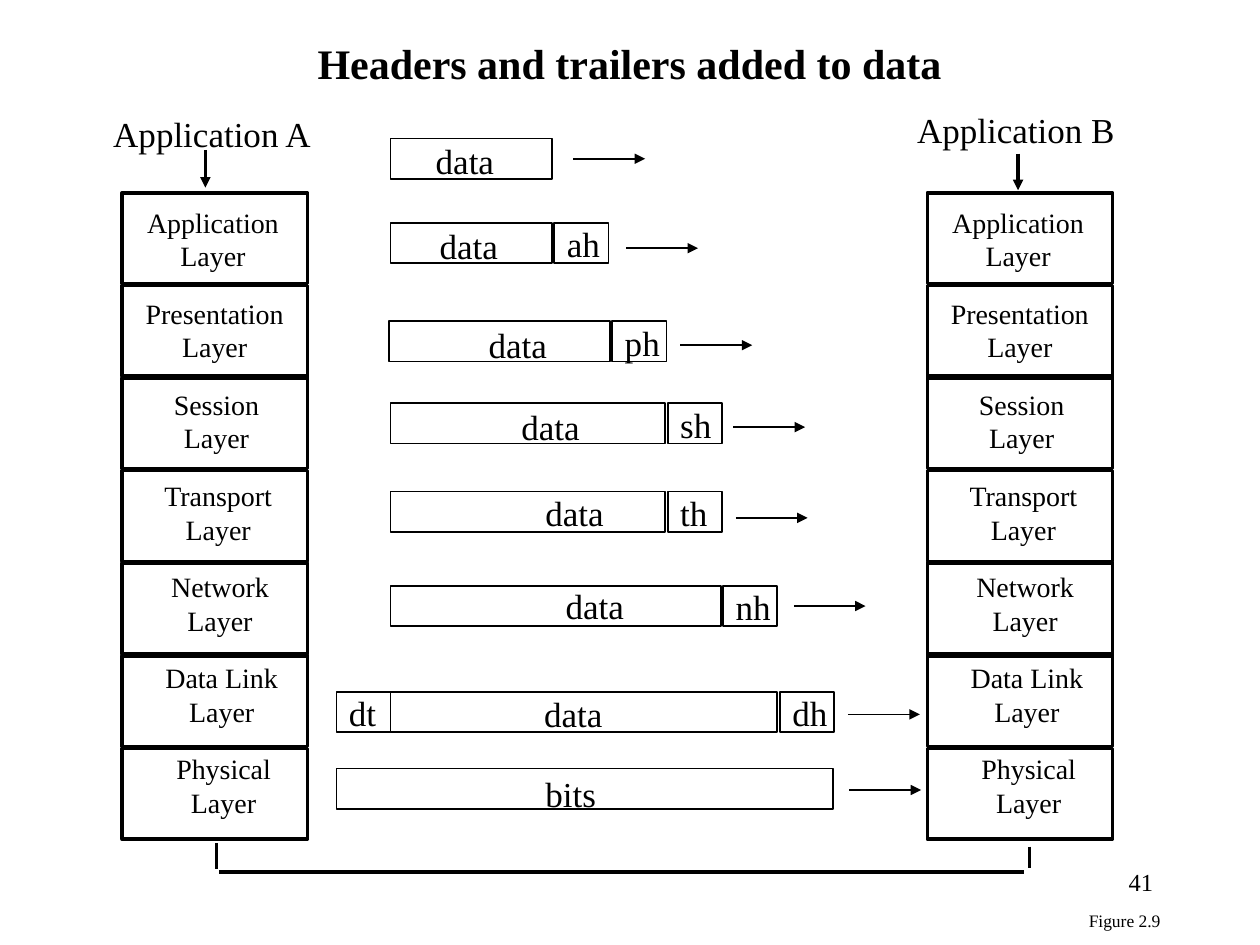
from lxml import etree
from pptx import Presentation
from pptx.dml.color import RGBColor
from pptx.enum.shapes import MSO_CONNECTOR, MSO_SHAPE
from pptx.enum.text import MSO_ANCHOR, MSO_AUTO_SIZE, PP_ALIGN
from pptx.oxml.ns import qn
from pptx.util import Inches, Pt

LEFT, CENTER, RIGHT = PP_ALIGN.LEFT, PP_ALIGN.CENTER, PP_ALIGN.RIGHT
TOP, MIDDLE = MSO_ANCHOR.TOP, MSO_ANCHOR.MIDDLE
GROW = MSO_AUTO_SIZE.SHAPE_TO_FIT_TEXT
FIXED = MSO_AUTO_SIZE.NONE
RECTANGLE, STRAIGHT = MSO_SHAPE.RECTANGLE, MSO_CONNECTOR.STRAIGHT

COLORS = {"ink": "000000", "paper": "FFFFFF"}
FONT = "Times New Roman"
THICK, THIN = 2, 1
SLACK = 0.04  # keeps tight labels on one line
INK = RGBColor.from_string(COLORS["ink"])

# Layer names with the width of each label
LAYERS = [("Application", 1.24), ("Presentation", 1.29), ("Session", 0.88),
          ("Transport", 1.06), ("Network", 0.97), ("Data Link", 1.09),
          ("Physical", 0.95)]
CELL_W, CELL_H, CELL_PITCH = 1.47, 0.72, 0.735
LABEL_PITCH, LABEL_DRIFT = 0.723, 0.014

# Units: left, top, width, text, text offset (x, y), header, arrow start (x, y)
UNITS = [
    (3.1, 1.10, 1.28, "data", (0.26, -0.04), None, (4.55, 1.26)),
    (3.1, 1.77, 1.28, "data", (0.29, -0.04), "ah", (4.97, 1.97)),
    (3.09, 2.55, 1.75, "data", (0.69, -0.03), "ph", (5.40, 2.74)),
    (3.1, 3.20, 2.18, "data", (0.94, -0.03), "sh", (5.82, 3.39)),
    (3.1, 3.90, 2.18, "data", (1.13, -0.05), "th", (5.84, 4.11)),
    (3.1, 4.65, 2.62, "data", (1.29, -0.06), "nh", (6.30, 4.81)),
    (3.1, 5.49, 3.07, "data", (1.12, -0.04), "dh", (6.73, 5.67)),
    (2.67, 6.10, 3.94, "bits", (1.56, -0.02), None, (6.74, 6.27)),
]
UNIT_H, TAG_W, TAG_GAP, ARROW_LEN = 0.32, 0.43, 0.02, 0.57
TEXT_W = {"data": 0.66, "bits": 0.6, "ah": 0.46, "ph": 0.48, "sh": 0.45,
          "th": 0.41, "nh": 0.48, "dh": 0.48, "dt": 0.41}

deck = Presentation()
deck.slide_width, deck.slide_height = Inches(10), Inches(7.5)
slide = deck.slides.add_slide(deck.slide_layouts[5])
slide.background.fill.solid()
slide.background.fill.fore_color.rgb = RGBColor.from_string(COLORS["paper"])


def write(text, x, y, w, h=0.43, size=20, bold=False, align=LEFT,
          anchor=TOP, wrap=False, before=0, holder=None):
    box = holder or slide.shapes.add_textbox(0, 0, 0, 0)
    if not wrap:
        x -= SLACK / 2 if align == CENTER else 0
        w += SLACK
    box.left, box.top, box.width, box.height = map(Inches, (x, y, w, h))
    frame = box.text_frame
    frame.text = text
    frame.word_wrap = wrap
    frame.auto_size = FIXED if wrap else GROW
    frame.vertical_anchor = anchor
    for paragraph in frame.paragraphs:
        paragraph.alignment = align
        paragraph.space_before = Pt(before)
        font = paragraph.runs[0].font
        font.name, font.size, font.bold = FONT, Pt(size), bold
        font.color.rgb = INK


def outline(x, y, w, h, weight):
    rect = slide.shapes.add_shape(RECTANGLE, *map(Inches, (x, y, w, h)))
    rect.shadow.inherit = False
    rect.fill.background()
    rect.line.color.rgb = INK
    rect.line.width = Pt(weight)


def connect(x1, y1, x2, y2, weight, arrow=False):
    link = slide.shapes.add_connector(
        STRAIGHT, *map(Inches, (x1, y1, x2, y2)))
    link.line.color.rgb = INK
    link.line.width = Pt(weight)
    if arrow:
        etree.SubElement(link.line._get_or_add_ln(), qn("a:tailEnd"),
                         type="triangle")
    etree.SubElement(link._element.spPr, qn("a:effectLst"))


def layer_stack(left, top):
    for row, (name, label_w) in enumerate(LAYERS):
        outline(left, top + row * CELL_PITCH, CELL_W, CELL_H, THICK)
        middle = left + 0.72 + row * LABEL_DRIFT
        write(f"{name}\nLayer", middle - label_w / 2,
              top + 0.05 + row * LABEL_PITCH, label_w, 0.63,
              size=16, align=CENTER)


def tag(text, left, top):
    outline(left, top, TAG_W, UNIT_H, THIN)
    write(text, left, top - 0.05, TEXT_W[text])


def data_unit(left, top, width, text, offset, header, arrow):
    outline(left, top, width, UNIT_H, THIN)
    write(text, left + offset[0], top + offset[1], TEXT_W[text])
    if header:
        tag(header, left + width + TAG_GAP, top)
    if header == "dh":
        tag("dt", left - TAG_W, top)
    x, y = arrow
    connect(x, y, x + ARROW_LEN, y, THIN, arrow=True)


# Title
write("Headers and trailers added to data", 2.42, 0.25, 5.15, 0.5,
      size=24, bold=True, holder=slide.shapes.title)

# Protocol stacks of both applications
layer_stack(0.97, 1.53)
layer_stack(7.36, 1.53)
write("Application A", 0.8, 0.84, 1.78)
write("Application B", 7.18, 0.81, 1.77)
connect(1.63, 1.19, 1.63, 1.49, THICK, arrow=True)
connect(8.08, 1.22, 8.08, 1.51, THICK, arrow=True)

# Physical link below the stacks
connect(1.72, 6.69, 1.72, 6.9, THICK)
connect(1.74, 6.92, 8.13, 6.92, THICK)
connect(8.17, 6.72, 8.17, 6.89, THICK)

# Data units, growing layer by layer
for unit in UNITS:
    data_unit(*unit)

# Figure and page numbers
write("Figure 2.9", 8.54, 7.17, 0.77, 0.27, size=10, align=CENTER,
      anchor=MIDDLE, before=6.2)
write("41", 7.17, 6.83, 2.08, 0.5, size=14, align=RIGHT, wrap=True)

deck.save("out.pptx")
